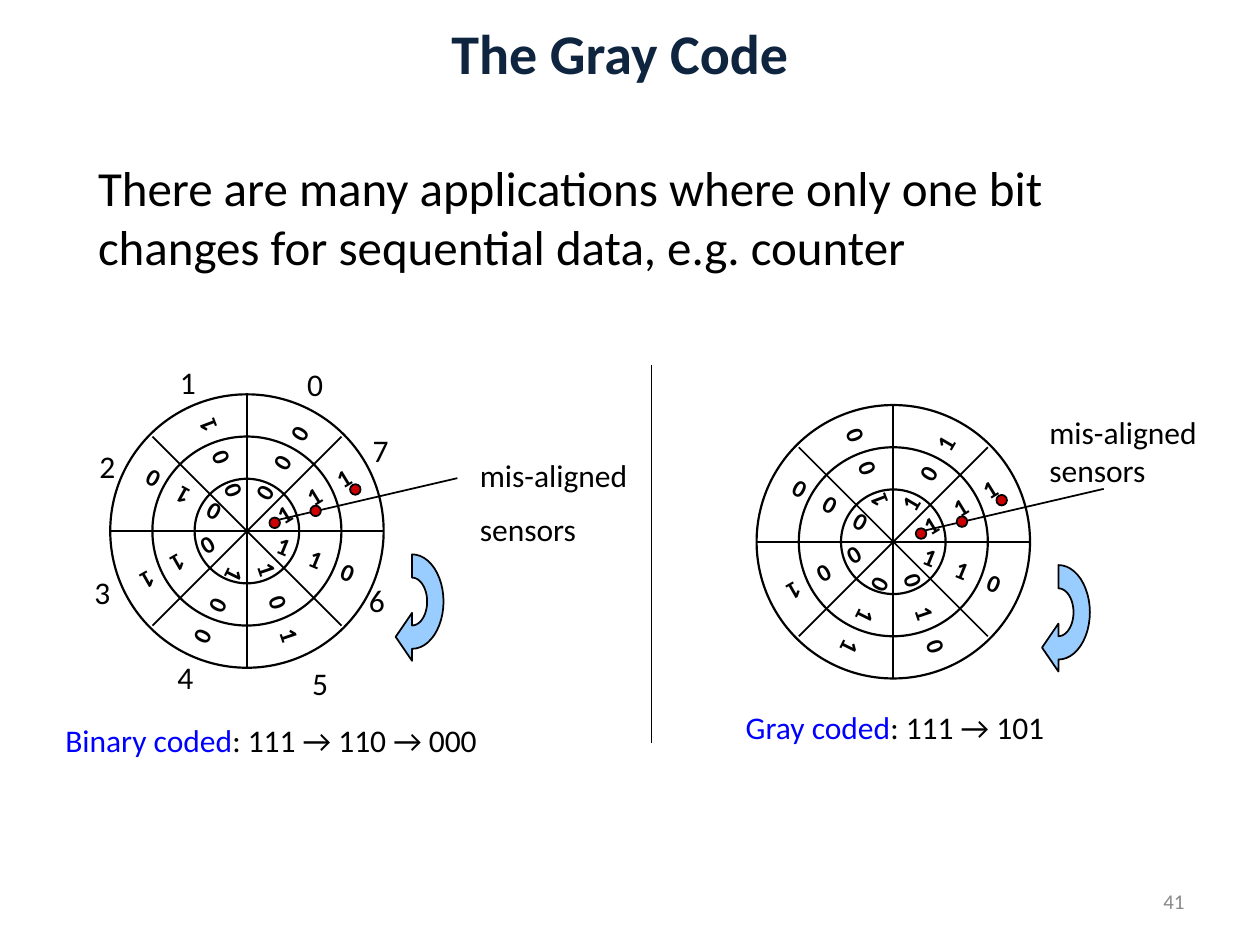
from dataclasses import dataclass
from math import cos, pi, sin

from lxml.etree import SubElement
from pptx import Presentation
from pptx.dml.color import RGBColor
from pptx.enum.shapes import MSO_CONNECTOR, MSO_SHAPE
from pptx.enum.text import MSO_ANCHOR, PP_ALIGN
from pptx.oxml.ns import qn
from pptx.util import Inches, Pt

# The slide is a grid of 100 columns by 75 rows of square cells
CELL = Inches(0.1)
FONT = "Calibri"
COLORS = {
    "ink": "000000",
    "title": "0F243E",
    "code": "0000FF",
    "sensor": "CC0000",
    "arrow": "99CCFF",
    "number": "898989",
}


@dataclass(frozen=True)
class Spoke:
    """Place of one sector's bits, relative to the centre of its disc."""
    rotation: float
    column: float
    row: float


@dataclass(frozen=True)
class Disc:
    column: float
    row: float
    sectors: tuple[str, ...]  # bits from the hub outwards, in SPOKES order


@dataclass(frozen=True)
class Label:
    text: str
    column: float
    row: float
    width: float = 6.3
    height: float = 4


SPOKES = (
    Spoke(300.3, 3.1, -6.1), Spoke(328.5, 5.95, -3.2),
    Spoke(208.7, -5.8, -3.1), Spoke(249.2, -2.5, -6.5),
    Spoke(71.2, 2.8, 6.4), Spoke(150.2, -6.1, 3),
    Spoke(116.3, -2.5, 6.65), Spoke(22.4, 6.2, 2.5),
)
RING_RADII = (4.15, 10.85, 7.5)
DIAGONAL = 7.5
BIT_PITCH = 2.75
SENSORS = ((5.45, -1.6), (8.6, -3.3), (2.2, -0.65))
SENSOR_RADIUS = 0.42

BINARY = Disc(19.6, 42.15, ("000", "111", "010", "001", "101", "011", "100", "110"))
GRAY = Disc(70.9, 43, ("101", "111", "000", "100", "010", "001", "011", "110"))
SECTOR_NUMBERS = (
    Label("0", 23.4, 28.5), Label("1", 13.3, 28.3),
    Label("2", 6.9, 35), Label("3", 6.5, 45),
    Label("4", 13.1, 51.7), Label("5", 23.8, 52.2),
    Label("6", 28.3, 45.6), Label("7", 28.6, 33.7),
)


def cells(*values: float) -> list[int]:
    return [round(value * CELL) for value in values]


def color(name: str) -> RGBColor:
    return RGBColor.from_string(COLORS[name])


def style_font(font, size: float, name: str = "ink", bold: bool = False) -> None:
    font.name, font.size, font.bold = FONT, Pt(size), bold
    font.color.rgb = color(name)


def style_shape(shape, fill: str | None, width: float) -> None:
    shape.shadow.inherit = False
    if fill:
        shape.fill.solid()
        shape.fill.fore_color.rgb = color(fill)
    else:
        shape.fill.background()
    shape.line.color.rgb = color("ink")
    shape.line.width = Pt(width)


def add_line(shapes, *ends: float) -> None:
    line = shapes.add_connector(MSO_CONNECTOR.STRAIGHT, *cells(*ends))
    line.line.color.rgb = color("ink")
    line.line.width = Pt(1)
    SubElement(line._element.spPr, qn("a:effectLst"))


def add_circle(shapes, column: float, row: float, radius: float,
               fill: str | None = None, width: float = 1) -> None:
    circle = shapes.add_shape(MSO_SHAPE.OVAL, *cells(
        column - radius, row - radius, 2 * radius, 2 * radius))
    style_shape(circle, fill, width)


def add_label(shapes, label: Label, size: float = 18, name: str = "ink"):
    """Add a text box with one paragraph per line of the label."""
    box = shapes.add_textbox(*cells(label.column, label.row, label.width, label.height))
    box.text_frame.word_wrap = True
    box.text_frame.text = label.text
    for index, paragraph in enumerate(box.text_frame.paragraphs):
        style_font(paragraph.font, size, name)
        if index:
            paragraph.space_before = Pt(size / 2)
    return box


def add_caption(shapes, heading: str, rest: str, label: Label) -> None:
    paragraph = add_label(shapes, label).text_frame.paragraphs[0]
    for text, name in ((heading, "code"), (rest, "ink")):
        run = paragraph.add_run()
        run.text = text
        style_font(run.font, 18, name)


def add_bits(shapes, disc: Disc, spoke: Spoke, bits: str) -> None:
    width, height = 10, 3.3
    box = shapes.add_textbox(*cells(
        disc.column + spoke.column - width / 2,
        disc.row + spoke.row - height / 2, width, height))
    box.rotation = spoke.rotation
    box.text_frame.word_wrap = True
    paragraph = box.text_frame.paragraphs[0]
    paragraph.text = "\t".join(bits)
    tabs = SubElement(paragraph._p.get_or_add_pPr(), qn("a:tabLst"))
    for position in cells(BIT_PITCH, 2 * BIT_PITCH):
        SubElement(tabs, qn("a:tab"), pos=str(position), algn="l")
    style_font(paragraph.font, 14, bold=True)


def add_turn_arrow(shapes, column: float, row: float, steps: int = 24) -> None:
    """Draw a half ring whose head points left, centred on its arcs."""
    def arc(width: float, height: float) -> list[tuple[float, float]]:
        angles = [pi * step / steps - pi / 2 for step in range(steps + 1)]
        return [(column + width * cos(angle), row + height * sin(angle))
                for angle in angles]

    head = [(column, row + 4.7), (column - 1.3, row + 2.8), (column, row + 0.9)]
    points = arc(1.2, 1.9)[::-1] + arc(2.5, 3.75) + head
    outline = [tuple(cells(*point)) for point in points]
    builder = shapes.build_freeform(*outline[0])
    builder.add_line_segments(outline[1:], close=True)
    style_shape(builder.convert_to_shape(), "arrow", 1)


def add_disc(shapes, disc: Disc) -> None:
    column, row = disc.column, disc.row
    for radius in RING_RADII:
        add_circle(shapes, column, row, radius, width=1.25)
    rim = max(RING_RADII)
    for across, down in ((rim, 0), (0, rim), (DIAGONAL, DIAGONAL), (-DIAGONAL, DIAGONAL)):
        add_line(shapes, column - across, row - down, column + across, row + down)
    for spoke, bits in zip(SPOKES, disc.sectors):
        add_bits(shapes, disc, spoke, bits)
    # Pointer and sensors
    add_line(shapes, column + 2.3, row - 0.85, column + 16.7, row - 4.2)
    for across, down in SENSORS:
        add_circle(shapes, column + across, row + down, SENSOR_RADIUS, "sensor")
    add_turn_arrow(shapes, column + 13.1, row + 5.6)


def main() -> None:
    presentation = Presentation()
    presentation.slide_width, presentation.slide_height = cells(100, 75)
    slide = presentation.slides.add_slide(presentation.slide_layouts[5])

    # Title and introduction
    title = slide.shapes.title
    title.left, title.top, title.width, title.height = cells(4.2, 0, 90, 8.3)
    title.text_frame.text = "The Gray Code"
    title.text_frame.vertical_anchor = MSO_ANCHOR.MIDDLE
    heading = title.text_frame.paragraphs[0]
    heading.alignment = PP_ALIGN.CENTER
    style_font(heading.font, 32, "title", bold=True)
    add_label(slide.shapes, Label(
        "There are many applications where only one bit changes for "
        "sequential data, e.g. counter", 6.8, 12, 84, 10.4), 28)

    # Divider
    add_line(slide.shapes, 51.7, 29, 51.7, 59)

    # Gray coded disc
    gray = slide.shapes.add_group_shape().shapes
    add_disc(gray, GRAY)
    add_label(gray, Label("mis-aligned sensors", 82.3, 32.3, 15, 7))
    add_caption(gray, "Gray coded", ": 111 → 101", Label("", 58.2, 55.7, 29.2))

    # Binary coded disc
    binary = slide.shapes.add_group_shape().shapes
    add_disc(binary, BINARY)
    add_label(binary, Label("mis-aligned\nsensors", 37.1, 35.7, 23.1, 8.6))
    add_caption(binary, "Binary coded", ": 111 → 110 → 000", Label("", 4.2, 56.7, 39.2))
    for label in SECTOR_NUMBERS:
        add_label(binary, label)

    # Slide number
    number = add_label(slide.shapes, Label("41", 71.7, 69.5, 23.3), 12, "number")
    number.text_frame.vertical_anchor = MSO_ANCHOR.MIDDLE
    number.text_frame.paragraphs[0].alignment = PP_ALIGN.RIGHT

    presentation.save("out.pptx")


if __name__ == "__main__":
    main()
